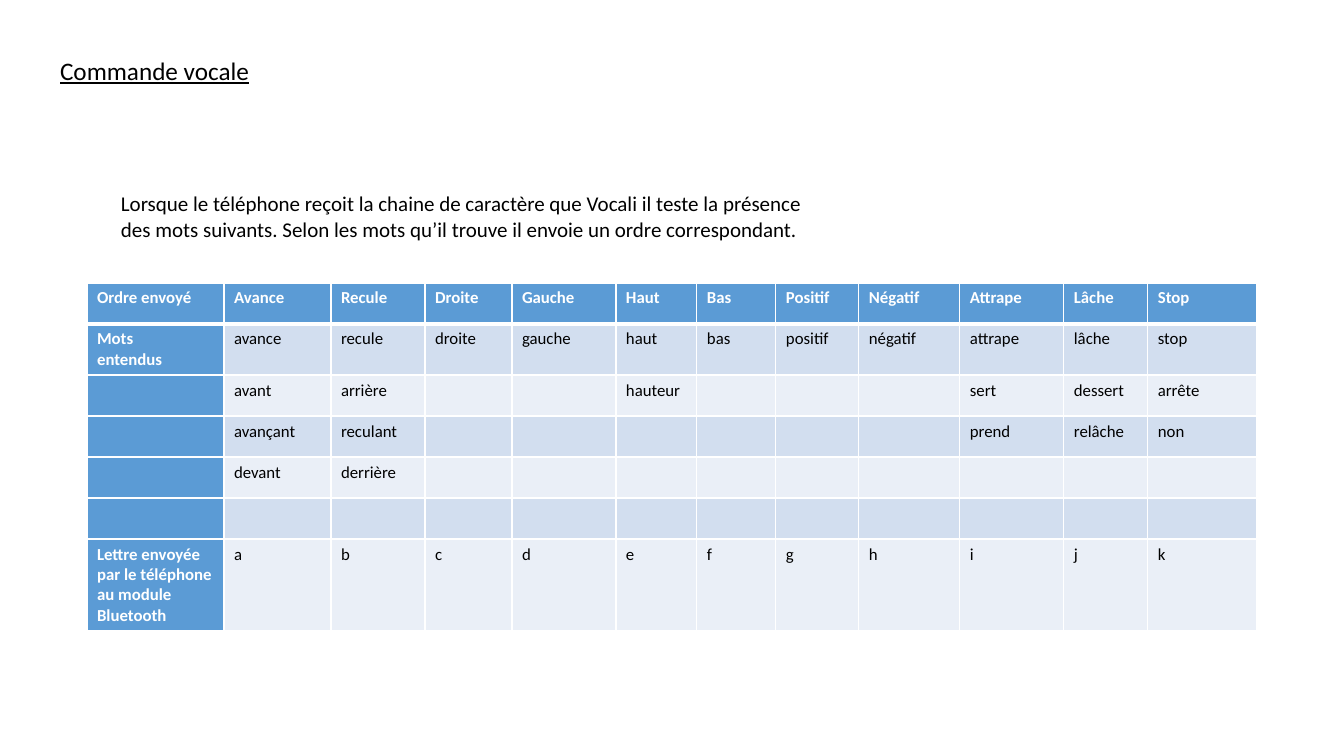
"""Build the voice command slide: which heard words trigger which robot order."""
from dataclasses import dataclass

from lxml.etree import SubElement
from pptx import Presentation
from pptx.dml.color import RGBColor
from pptx.enum.text import MSO_ANCHOR, MSO_AUTO_SIZE, PP_ALIGN
from pptx.oxml.ns import qn
from pptx.util import Pt

TITLE = "Commande vocale"
EXPLANATION = (
    "Lorsque le téléphone reçoit la chaine de caractère que Vocali il teste la présence "
    "des mots suivants. Selon les mots qu’il trouve il envoie un ordre correspondant."
)
ROW_LABELS = ["Ordre envoyé", "Mots\nentendus", "", "", "", "",
              "Lettre envoyée par le téléphone au module Bluetooth"]
ORDERS = [
    ("Avance", ["avance", "avant", "avançant", "devant"], "a"),
    ("Recule", ["recule", "arrière", "reculant", "derrière"], "b"),
    ("Droite", ["droite"], "c"),
    ("Gauche", ["gauche"], "d"),
    ("Haut", ["haut", "hauteur"], "e"),
    ("Bas", ["bas"], "f"),
    ("Positif", ["positif"], "g"),
    ("Négatif", ["négatif"], "h"),
    ("Attrape", ["attrape", "sert", "prend"], "i"),
    ("Lâche", ["lâche", "dessert", "relâche"], "j"),
    ("Stop", ["stop", "arrête", "non"], "k"),
]
WORD_ROWS = 5

SLIDE_SIZE = (1344, 756)
TITLE_BOX = (50, 50, 219, 40)
EXPLANATION_BOX = (111, 186, 729, 61)
TABLE_ORIGIN = (87, 283)
COLUMN_WIDTHS = [137, 107, 94, 87, 104, 81, 79, 83, 101, 104, 84, 109]
ROW_HEIGHT = 41
EMU_PER_PX = 12192000 / SLIDE_SIZE[0]


@dataclass(frozen=True)
class Theme:
    font: str = "Calibri"
    ink: str = "000000"
    paper: str = "FFFFFF"
    heading: str = "5B9BD5"
    bands: tuple = ("EAEFF7", "D2DEEF")
    title_size: int = 18
    body_size: int = 15
    cell_size: int = 12
    rule: int = 1
    header_rule: int = 3


THEME = Theme()


def px(*lengths):
    return [round(length * EMU_PER_PX) for length in lengths]


def write(paragraph, text, size, color=THEME.ink, bold=False, underline=False):
    run = paragraph.add_run()
    run.text = text
    font = run.font
    font.name, font.size = THEME.font, Pt(size)
    font.bold, font.underline = bold, underline
    font.color.rgb = RGBColor.from_string(color)


def set_borders(cell, top, bottom):
    properties = cell._tc.get_or_add_tcPr()
    for side, width in (("L", THEME.rule), ("R", THEME.rule), ("T", top), ("B", bottom)):
        line = SubElement(properties, qn(f"a:ln{side}"), w=str(Pt(width)))
        fill = SubElement(line, qn("a:solidFill"))
        SubElement(fill, qn("a:srgbClr"), val=THEME.paper)


def fill_cell(cell, text, row, column):
    is_heading = row == 0 or column == 0
    set_borders(cell,
                THEME.header_rule if row == 1 else THEME.rule,
                THEME.header_rule if row == 0 else THEME.rule)
    cell.fill.solid()
    cell.fill.fore_color.rgb = RGBColor.from_string(
        THEME.heading if is_heading else THEME.bands[row % 2])
    if not text:
        return
    frame = cell.text_frame
    for index, line in enumerate(text.split("\n")):
        paragraph = frame.add_paragraph() if index else frame.paragraphs[0]
        write(paragraph, line, THEME.cell_size,
              THEME.paper if is_heading else THEME.ink, bold=is_heading)


def add_title(slide):
    title = slide.shapes.title
    title.left, title.top, title.width, title.height = px(*TITLE_BOX)
    frame = title.text_frame
    frame.auto_size, frame.word_wrap = MSO_AUTO_SIZE.NONE, True
    frame.vertical_anchor = MSO_ANCHOR.TOP
    frame.paragraphs[0].alignment = PP_ALIGN.LEFT
    write(frame.paragraphs[0], TITLE, THEME.title_size, underline=True)


def add_explanation(slide):
    frame = slide.shapes.add_textbox(*px(*EXPLANATION_BOX)).text_frame
    frame.word_wrap = True
    write(frame.paragraphs[0], EXPLANATION, THEME.body_size)


def add_orders(slide):
    columns = [ROW_LABELS]
    for order, words, letter in ORDERS:
        columns.append([order, *words, *[""] * (WORD_ROWS - len(words)), letter])
    row_count = len(ROW_LABELS)
    size = px(sum(COLUMN_WIDTHS), row_count * ROW_HEIGHT)
    table = slide.shapes.add_table(
        row_count, len(columns), *px(*TABLE_ORIGIN), *size).table
    table.first_col = True
    for row in table.rows:
        row.height = px(ROW_HEIGHT)[0]
    for column, (texts, width) in enumerate(zip(columns, px(*COLUMN_WIDTHS))):
        table.columns[column].width = width
        for row, text in enumerate(texts):
            fill_cell(table.cell(row, column), text, row, column)


def main():
    deck = Presentation()
    deck.slide_width, deck.slide_height = px(*SLIDE_SIZE)
    slide = deck.slides.add_slide(deck.slide_layouts[5])
    add_title(slide)
    add_orders(slide)
    add_explanation(slide)
    deck.save("out.pptx")


if __name__ == "__main__":
    main()
